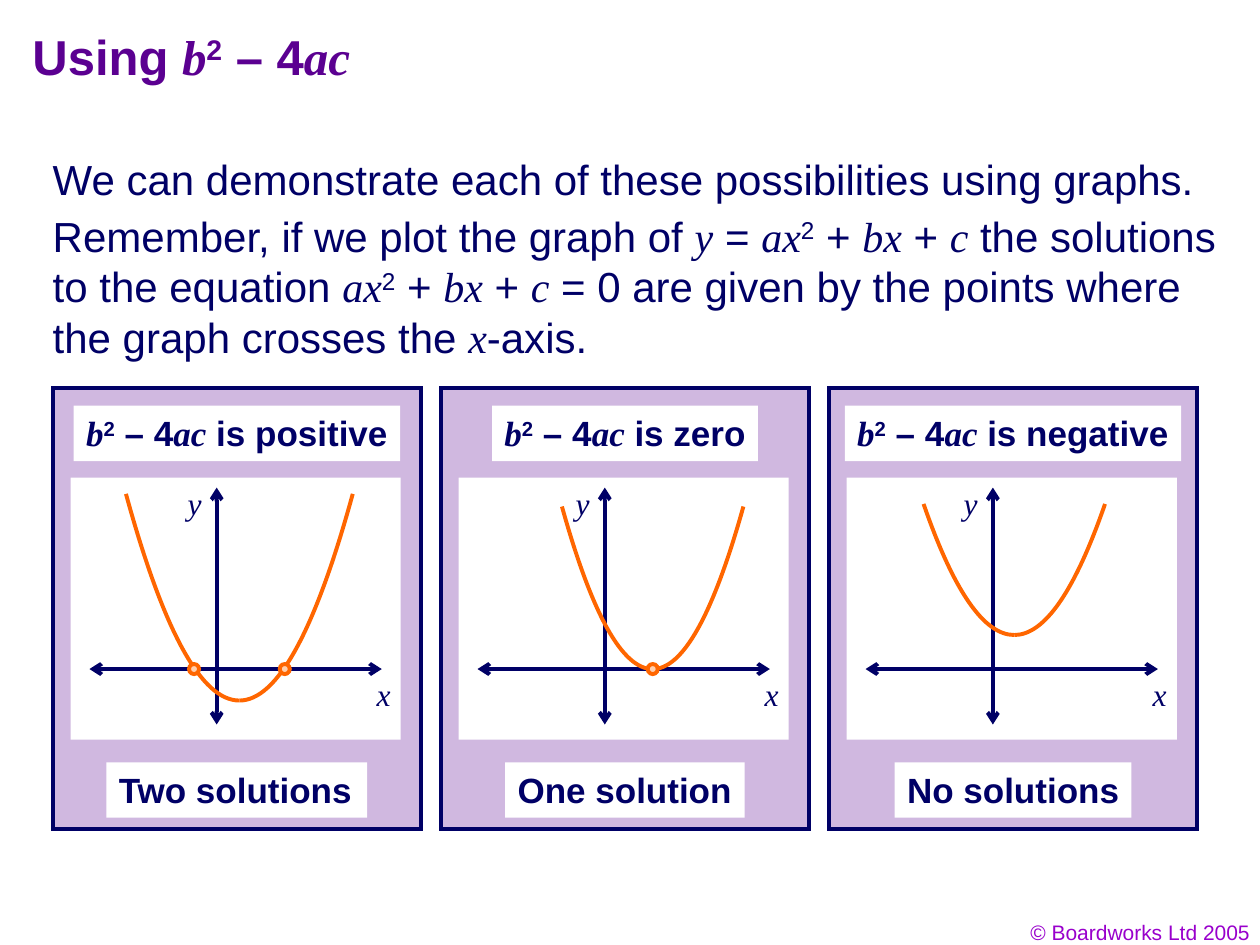
from lxml.etree import SubElement
from pptx import Presentation
from pptx.dml.color import RGBColor
from pptx.enum.shapes import MSO_CONNECTOR, MSO_SHAPE
from pptx.enum.text import MSO_AUTO_SIZE as AutoSize, PP_ALIGN as Align
from pptx.oxml.ns import qn
from pptx.util import Inches, Pt

PURPLE = RGBColor(0x5B, 0x00, 0x91)
VIOLET = RGBColor(0x99, 0x00, 0xCC)
NAVY = RGBColor(0x00, 0x00, 0x66)
LILAC = RGBColor(0xD0, 0xB8, 0xE0)
WHITE = RGBColor(0xFF, 0xFF, 0xFF)
ORANGE = RGBColor(0xFF, 0x66, 0x00)
PEACH = RGBColor(0xFF, 0xCF, 0xAF)

prs = Presentation()
prs.slide_width, prs.slide_height = Inches(10), Inches(7.5)
slide = prs.slides.add_slide(prs.slide_layouts[6])
shapes = slide.shapes


def write(box, markup, size, color, bold=False, wrap=False):
    """Pieces are split by |; * marks a serif variable and ^ a superscript."""
    area = shapes.add_textbox(*map(Inches, box))
    frame = area.text_frame
    frame.word_wrap = wrap
    frame.auto_size = AutoSize.NONE
    for piece in markup.split("|"):
        run = frame.paragraphs[0].add_run()
        run.text = piece.lstrip("*^")
        font = run.font
        font.size, font.bold, font.color.rgb = Pt(size), bold, color
        font.italic = piece.startswith("*")
        font.name = "Times New Roman" if font.italic else "Arial"
        if piece.startswith("^"):
            run._r.get_or_add_rPr().set("baseline", "30000")
    return area


def draw(preset, box, fill, outline=None):
    figure = shapes.add_shape(preset, *map(Inches, box))
    figure.shadow.inherit = False
    figure.fill.solid()
    figure.fill.fore_color.rgb = fill
    if outline is None:
        figure.line.fill.background()
    else:
        figure.line.color.rgb = outline
        figure.line.width = Pt(2.25)
        SubElement(figure.line._get_or_add_ln(), qn("a:miter"), lim="800000")


copyright_line = write((7.69, 7.25, 2.33, 0.3), "© Boardworks Ltd 2005", 12, VIOLET, wrap=True)
copyright_line.text_frame.paragraphs[0].alignment = Align.RIGHT

write((0.16, 0.16, 8.5, 0.67), "Using |*b|^2| – 4|*ac", 28, PURPLE, bold=True, wrap=True)
write((0.32, 1.17, 9.52, 0.5),
      "We can demonstrate each of these possibilities using graphs.", 24, NAVY, wrap=True)
write((0.32, 1.62, 9.52, 1.3),
      "Remember, if we plot the graph of |*y| = |*ax|^2| + |*bx| + |*c| the solutions to the equation "
      "|*ax|^2| + |*bx| + |*c| = 0 are given by the points where the graph crosses the |*x|-axis.",
      24, NAVY, wrap=True)

FIRST_COLUMN, COLUMN_PITCH, PANEL_TOP = 0.42, 3.08, 3.08
PANEL_WIDTH, AXIS_Y = 2.92, 5.31
PARABOLA_CONTROLS = [(1, 1), (2 / 3, 1 / 3), (1 / 3, 0), (0, 0)]

cases = [
    ("positive", 2.59, "Two solutions", 2.07, (1.48, 5.56), (0.9, 1.64), (-0.36, 0.36)),
    ("zero", 2.11, "One solution", 1.9, (1.68, 5.31), (0.72, 1.29), (0,)),
    ("negative", 2.67, "No solutions", 1.88, (1.47, 5.04), (0.72, 1.04), ()),
]

for column, (sign, sign_width, outcome, outcome_width, vertex, reach, roots) in enumerate(cases):
    left = FIRST_COLUMN + column * COLUMN_PITCH
    middle = left + PANEL_WIDTH / 2
    draw(MSO_SHAPE.RECTANGLE, (left, PANEL_TOP, PANEL_WIDTH, 3.5), LILAC, NAVY)
    draw(MSO_SHAPE.RECTANGLE, (left + 0.14, 3.79, 2.62, 2.08), WHITE)

    y_axis = (left + 1.3, 5.75, left + 1.3, 3.87)
    x_axis = (left + 0.29, AXIS_Y, left + 2.61, AXIS_Y)
    for ends in (y_axis, x_axis):
        axis = shapes.add_connector(MSO_CONNECTOR.STRAIGHT, *map(Inches, ends))
        axis.line.color.rgb = NAVY
        axis.line.width = Pt(2.25)
        for end in ("a:headEnd", "a:tailEnd"):
            SubElement(axis.line._get_or_add_ln(), qn(end), type="arrow")
        SubElement(axis._element.spPr, qn("a:effectLst"))

    write((left + 0.97, 3.79, 0.31, 0.4), "*y", 18, NAVY)
    write((left + 2.47, AXIS_Y, 0.31, 0.4), "*x", 18, NAVY)

    labels = [
        (3.22, sign_width, f"*b|^2| – 4|*ac| is {sign}"),
        (6.05, outcome_width, outcome),
    ]
    for top, width, wording in labels:
        label = write((middle - width / 2, top, width, 0.44), wording, 20, NAVY, bold=True)
        label.fill.solid()
        label.fill.fore_color.rgb = WHITE

    vertex_x, vertex_y = left + vertex[0], vertex[1]
    for side in (-1, 1):
        controls = [
            (Inches(vertex_x + side * reach[0] * across), Inches(vertex_y - reach[1] * up))
            for across, up in PARABOLA_CONTROLS
        ]
        pen = shapes.build_freeform(*controls[0])
        pen.add_line_segments(controls[1:], close=False)
        branch = pen.convert_to_shape()
        branch.shadow.inherit = False
        branch.fill.background()
        branch.line.color.rgb = ORANGE
        branch.line.width = Pt(2.25)
        segments = list(branch._element.iter(qn("a:lnTo")))
        curve = SubElement(segments[0].getparent(), qn("a:cubicBezTo"))
        for segment in segments:
            curve.append(segment[0])
            segment.getparent().remove(segment)

    for offset in roots:
        draw(MSO_SHAPE.OVAL, (vertex_x + offset - 0.04, AXIS_Y - 0.04, 0.08, 0.08), PEACH, ORANGE)

prs.save("out.pptx")
